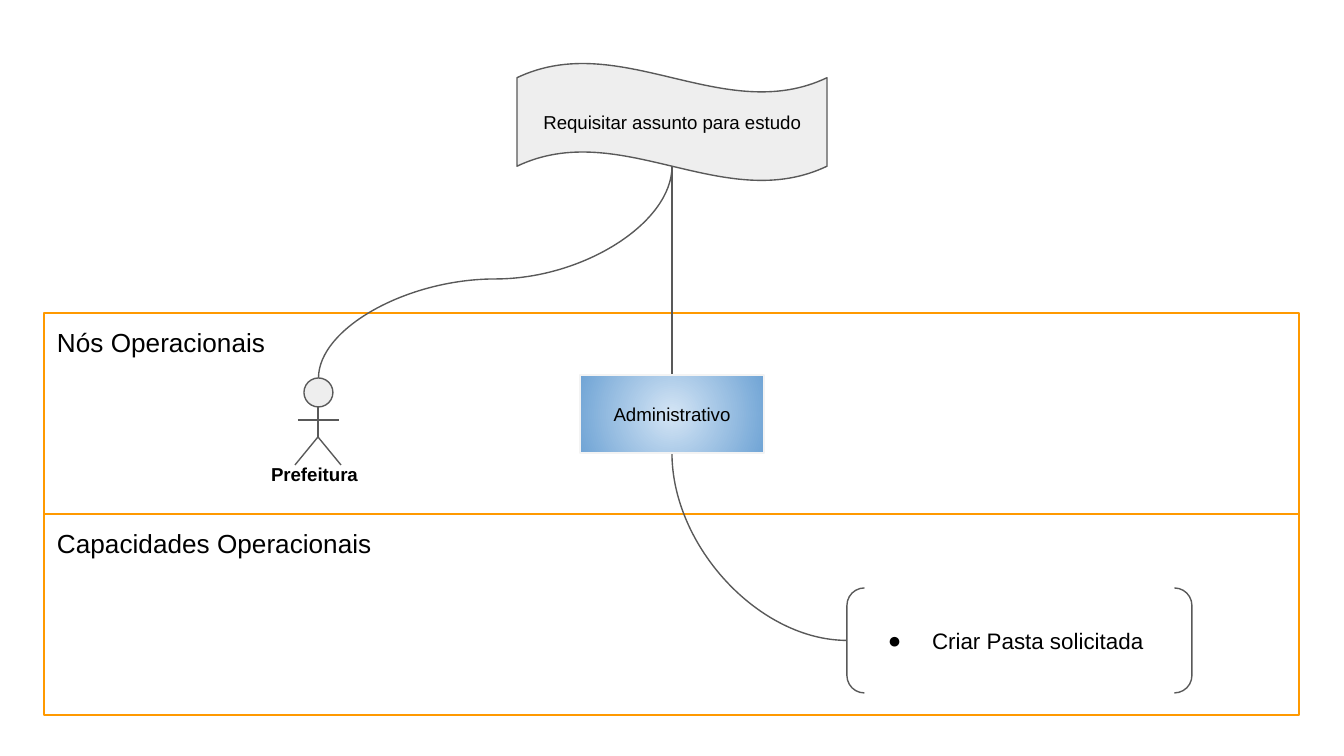
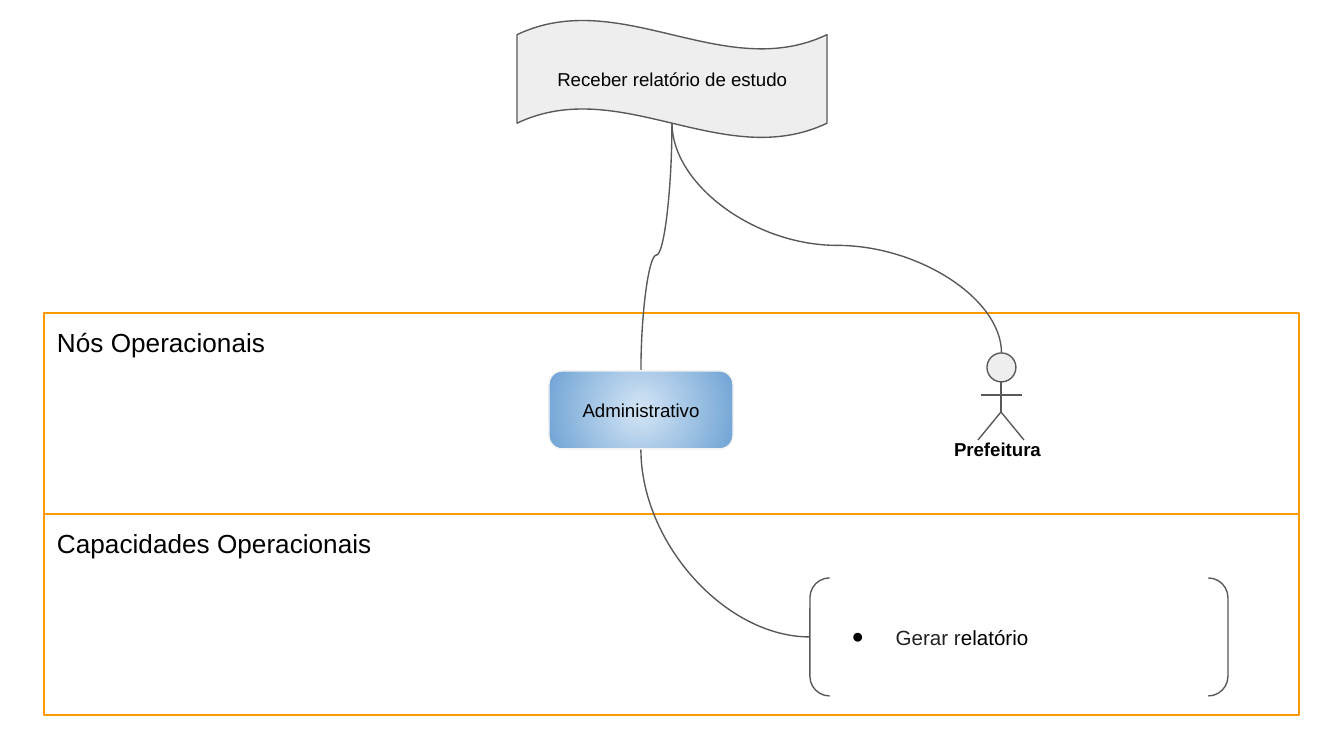
"""Build two operational diagrams linking an event, its nodes and a capability."""
import collections
import dataclasses

import pptx
import pptx.dml.color
import pptx.enum.dml
import pptx.enum.shapes
import pptx.enum.text
import pptx.oxml
import pptx.oxml.ns
import pptx.util

EMU_PER_PIXEL = 9144000 / 1344
SHAPES = pptx.enum.shapes.MSO_SHAPE
CONNECTORS = pptx.enum.shapes.MSO_CONNECTOR
ALIGN = pptx.enum.text.PP_ALIGN
ANCHOR = pptx.enum.text.MSO_ANCHOR
Box = collections.namedtuple("Box", "left top width height")


@dataclasses.dataclass(frozen=True)
class Theme:
    """Hold the colours, font and type sizes."""
    font: str = "Arial"
    text: str = "000000"
    soft_text: str = "222222"
    outline: str = "595959"
    band_outline: str = "FF9900"
    node_outline: str = "F3F3F3"
    node_center: str = "D4E5F5"
    node_edge: str = "70A4D5"
    light: str = "EEEEEE"
    line_width: float = 0.75
    label_size: int = 10
    band_size: int = 14
    inset: int = 13


THEME = Theme()


def emu(pixels):
    """Turn pixels into EMU."""
    return pptx.util.Emu(round(pixels * EMU_PER_PIXEL))


def rgb(color):
    """Turn a hex string into a colour."""
    return pptx.dml.color.RGBColor.from_string(color)


def append_xml(parent, markup):
    """Append a DrawingML element written without its namespace."""
    tag, rest = markup[:-2].split(" ", 1) if " " in markup else (markup[:-2], "")
    namespace = pptx.oxml.ns.nsdecls("a")
    element = pptx.oxml.parse_xml(f"{tag} {namespace} {rest}/>")
    parent.append(element)
    return element


def style_line(line, color=THEME.outline):
    """Give a line its colour and the common width."""
    line.color.rgb = rgb(color)
    line.width = pptx.util.Pt(THEME.line_width)


def add_box(shapes, kind, box, fill=None, outline=THEME.outline):
    """Add a preset shape without shadow."""
    shape = shapes.add_shape(kind, *map(emu, box))
    shape.shadow.inherit = False
    if fill:
        shape.fill.solid()
        shape.fill.fore_color.rgb = rgb(fill)
    else:
        shape.fill.background()
    style_line(shape.line, outline)
    return shape


def format_run(run, size, color=THEME.text, bold=False):
    """Set the font of a run."""
    run.font.name = THEME.font
    run.font.size = pptx.util.Pt(size)
    run.font.bold = bold
    run.font.color.rgb = rgb(color)


def write(shape, text, size, align=ALIGN.LEFT, anchor=ANCHOR.MIDDLE, bold=False):
    """Write one paragraph in a shape and return it."""
    frame = shape.text_frame
    frame.text = text
    frame.word_wrap = True
    frame.vertical_anchor = anchor
    frame.margin_left = frame.margin_right = emu(THEME.inset)
    frame.margin_top = frame.margin_bottom = emu(THEME.inset)
    paragraph = frame.paragraphs[0]
    paragraph.alignment = align
    for run in paragraph.runs:
        format_run(run, size, bold=bold)
    return paragraph


def add_line(shapes, start, end, kind=CONNECTORS.STRAIGHT):
    """Add a connector between two points without shadow."""
    connector = shapes.add_connector(kind, *map(emu, (*start, *end)))
    style_line(connector.line)
    append_xml(connector._element.spPr, "<a:effectLst/>")
    return connector


def add_rising_curve(shapes, start, end):
    """Add an S-curve that leaves its lower start vertically."""
    (start_x, start_y), (end_x, end_y) = start, end
    middle_x, middle_y = (start_x + end_x) / 2, (start_y + end_y) / 2
    half_length, half_shift = (start_y - end_y) / 2, (end_x - start_x) / 2
    connector = add_line(
        shapes,
        (middle_x - half_length, middle_y - half_shift),
        (middle_x + half_length, middle_y + half_shift),
        CONNECTORS.CURVE,
    )
    connector.rotation = 270
    geometry = connector._element.spPr.find(pptx.oxml.ns.qn("a:prstGeom"))
    guides = geometry.find(pptx.oxml.ns.qn("a:avLst"))
    append_xml(guides, '<a:gd name="adj1" fmla="val 46800"/>')


def add_corner_curve(shapes, start, end):
    """Add a quarter curve that leaves its start horizontally."""
    connector = add_line(shapes, start, end, CONNECTORS.CURVE)
    geometry = connector._element.spPr.find(pptx.oxml.ns.qn("a:prstGeom"))
    geometry.set("prst", "curvedConnector2")


def add_event(shapes, box, text):
    """Draw the wave and return the point where its curves arrive."""
    wave = add_box(shapes, SHAPES.WAVE, box, THEME.light)
    write(wave, text, THEME.label_size, ALIGN.CENTER)
    return box.left + box.width / 2, box.top + box.height * 7 / 8


def add_bands(shapes, box, titles):
    """Stack equal titled bands inside a box."""
    height = box.height / len(titles)
    for index, title in enumerate(titles):
        band_box = Box(box.left, box.top + index * height, box.width, height)
        band = add_box(shapes, SHAPES.RECTANGLE, band_box, outline=THEME.band_outline)
        write(band, title, THEME.band_size, anchor=ANCHOR.TOP)


def add_node(shapes, box, text, rounding):
    """Draw a node with a radial gradient."""
    node = add_box(shapes, SHAPES.ROUNDED_RECTANGLE, box, outline=THEME.node_outline)
    node.adjustments[0] = rounding
    node.fill.gradient()
    for stop, color in zip(node.fill.gradient_stops, (THEME.node_center, THEME.node_edge)):
        stop.color.rgb = rgb(color)
    gradient = node._element.spPr.find(pptx.oxml.ns.qn("a:gradFill"))
    gradient.remove(gradient.find(pptx.oxml.ns.qn("a:lin")))
    radial = append_xml(gradient, '<a:path path="circle"/>')
    append_xml(radial, '<a:fillToRect l="50000" t="50000" r="50000" b="50000"/>')
    write(node, text, THEME.label_size, ALIGN.CENTER)


def add_actor(shapes, box, text):
    """Draw a grouped stick figure with its name below."""
    group = shapes.add_group_shape().shapes
    head = 29
    center = box.left + 98
    neck, arms, hip, feet = (box.top + offset for offset in (head, 42, 59, 87))
    head_box = Box(box.left + 84, box.top, head, head)
    add_box(group, SHAPES.FLOWCHART_CONNECTOR, head_box, THEME.light)
    for start, end in (
        ((center, neck), (center, hip)),
        ((center - 20, arms), (center + 21, arms)),
        ((center, hip), (center - 23, feet)),
        ((center + 23, feet), (center, hip)),
    ):
        add_line(group, start, end)
    label_box = Box(box.left, box.top + 72, box.width, box.height - 72)
    label = group.add_textbox(*map(emu, label_box))
    paragraph = write(label, text, THEME.label_size, anchor=ANCHOR.TOP, bold=True)
    label.text_frame.margin_top = emu(17)
    paragraph._p.get_or_add_pPr().set("marL", str(emu(38)))


def add_capability(shapes, box, parts, size):
    """Draw a bracket pair around one bulleted line of coloured parts."""
    bracket = add_box(shapes, SHAPES.DOUBLE_BRACKET, box)
    paragraph = write(bracket, "", size)
    for text, color in parts:
        run = paragraph.add_run()
        run.text = text
        format_run(run, size, color)
    properties = paragraph._p.get_or_add_pPr()
    properties.set("marL", str(emu(67)))
    properties.set("indent", str(-emu(44)))
    bullet_color = append_xml(properties, "<a:buClr/>")
    append_xml(bullet_color, f'<a:srgbClr val="{THEME.text}"/>')
    append_xml(properties, f'<a:buFont typeface="{THEME.font}"/>')
    append_xml(properties, '<a:buChar char="●"/>')


def add_diagram(presentation, event, event_top, node, rounding, actor, capability, parts, size):
    """Build one diagram slide."""
    shapes = presentation.slides.add_slide(presentation.slide_layouts[6]).shapes
    target = add_event(shapes, Box(517, event_top, 310, 118), event)
    add_bands(shapes, Box(44, 313, 1255, 402), ("Nós Operacionais", "Capacidades Operacionais"))
    node_center = node.left + node.width / 2
    add_rising_curve(shapes, (node_center, node.top), target)
    add_rising_curve(shapes, (actor.left + 98.5, actor.top), target)
    add_corner_curve(
        shapes,
        (capability.left, capability.top + capability.height / 2),
        (node_center, node.top + node.height),
    )
    add_node(shapes, node, "Administrativo", rounding)
    add_capability(shapes, capability, parts, size)
    add_actor(shapes, actor, "Prefeitura")


def main():
    """Build and save the presentation."""
    presentation = pptx.Presentation()
    presentation.slide_width = emu(1344)
    presentation.slide_height = emu(756)
    add_diagram(
        presentation,
        event="Requisitar assunto para estudo",
        event_top=63,
        node=Box(580, 375, 184, 78),
        rounding=0,
        actor=Box(220, 378, 181, 123),
        capability=Box(847, 588, 345, 105),
        parts=[("Criar Pasta solicitada", THEME.text)],
        size=12,
    )
    add_diagram(
        presentation,
        event="Receber relatório de estudo",
        event_top=20,
        node=Box(549, 371, 184, 78),
        rounding=0.17,
        actor=Box(903, 353, 181, 123),
        capability=Box(810, 578, 418, 118),
        parts=[("Gerar r", THEME.soft_text), ("elatório", THEME.text)],
        size=11,
    )
    presentation.save("out.pptx")


if __name__ == "__main__":
    main()
